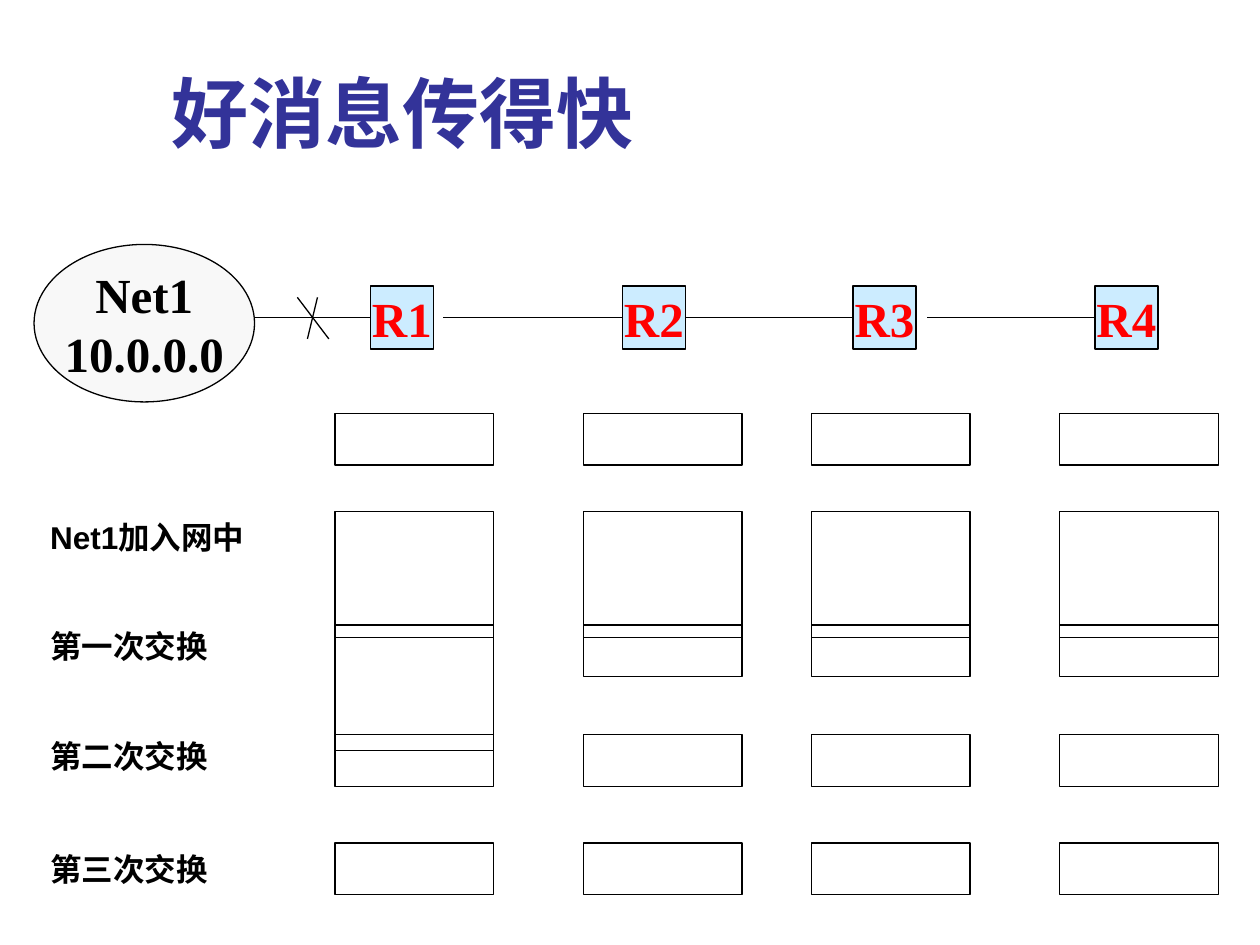
from lxml.etree import SubElement
from pptx import Presentation
from pptx.dml.color import RGBColor
from pptx.enum.shapes import MSO_CONNECTOR, MSO_SHAPE
from pptx.enum.text import MSO_ANCHOR, PP_ALIGN
from pptx.oxml.ns import qn
from pptx.util import Inches, Pt

deck = Presentation()
deck.slide_width, deck.slide_height = Inches(10), Inches(7.5)
page = deck.slides.add_slide(deck.slide_layouts[6])

# Grid of 100 columns by 75 rows
COLUMN = deck.slide_width // 100
ROW = deck.slide_height // 75


def place(left, top, width, height, kind=None, fill=None):
    """Add a text box, or an outlined shape when a kind is given."""
    area = [round(n) for n in (left * COLUMN, top * ROW, width * COLUMN, height * ROW)]
    if kind is None:
        box = page.shapes.add_textbox(*area)
        box.text_frame.word_wrap = True
        return box
    box = page.shapes.add_shape(kind, *area)
    box.shadow.inherit = False
    box.line.color.rgb = RGBColor.from_string("000000")
    box.line.width = Pt(0.75)
    if fill:
        box.fill.solid()
        box.fill.fore_color.rgb = RGBColor.from_string(fill)
    else:
        box.fill.background()
    box.text_frame.word_wrap = False
    box.text_frame.vertical_anchor = MSO_ANCHOR.MIDDLE
    return box


def write(box, text, size, font, color, align=PP_ALIGN.LEFT, before=0):
    """Fill a box with bold text."""
    box.text_frame.text = text
    for para in box.text_frame.paragraphs:
        para.alignment = align
        para.space_before = Pt(before)
        for span in para.runs:
            span.font.size = Pt(size)
            span.font.name = font
            span.font.bold = True
            span.font.color.rgb = RGBColor.from_string(color)


# Title
title = place(12.6, 2.3, 85.2, 10.7)
title.text_frame.vertical_anchor = MSO_ANCHOR.BOTTOM
write(title, "好消息传得快", 44, "Arial", "333399")

# Network and routers
network = place(2.7, 19.4, 17.5, 12.5, MSO_SHAPE.OVAL, "F8F8F8")
write(network, "Net1\n10.0.0.0", 28, "Times New Roman", "000000", PP_ALIGN.CENTER)
routers = []
for number, left in enumerate((29.4, 49.4, 67.7, 86.9), start=1):
    router = place(left, 22.7, 5, 5, MSO_SHAPE.RECTANGLE, "CCECFF")
    write(router, f"R{number}", 28, "Times New Roman", "FF0000", PP_ALIGN.CENTER)
    routers.append(router)
r1, r2, r3, r4 = routers

# Links between them, then the cross on the first link
WIRE = 25.2
links = [
    (20.2, WIRE, 29.4, WIRE, None, r1),
    (35.2, WIRE, 49.4, WIRE, None, r2),
    (46.9, WIRE, 49.4, WIRE, None, r2),
    (54.4, WIRE, 67.7, WIRE, r2, r3),
    (65.2, WIRE, 67.7, WIRE, None, r3),
    (73.6, WIRE, 86.9, WIRE, None, r4),
    (25.2, 23.6, 24.4, 26.9, None, None),
    (23.6, 23.6, 26.1, 26.9, None, None),
]
for x1, y1, x2, y2, source, target in links:
    link = page.shapes.add_connector(
        MSO_CONNECTOR.STRAIGHT,
        round(x1 * COLUMN), round(y1 * ROW), round(x2 * COLUMN), round(y2 * ROW))
    link.line.color.rgb = RGBColor.from_string("000000")
    link.line.width = Pt(0.75)
    SubElement(link._element.spPr, qn("a:effectLst"))
    if source:
        link.begin_connect(source, 3)
    if target:
        link.end_connect(target, 1)

# Routing table cells: one column per router, one row per exchange
SHORT, TALL = 4.1, 10
for index, left in enumerate((26.6, 46.3, 64.4, 84.1)):
    first_exchange = TALL if index == 0 else SHORT
    for top, height in ((32.8, SHORT), (40.6, TALL), (49.6, first_exchange),
                        (58.3, SHORT), (66.9, SHORT)):
        place(left, top, 12.6, height, MSO_SHAPE.RECTANGLE)

# Row labels
labels = ((40.6, "Net1加入网中"), (49.3, "第一次交换"),
          (58, "第二次交换"), (67, "第三次交换"))
for top, text in labels:
    write(place(3, top, 18.9, 4), text, 18, "Arial", "000000", before=11.2)

deck.save("out.pptx")
